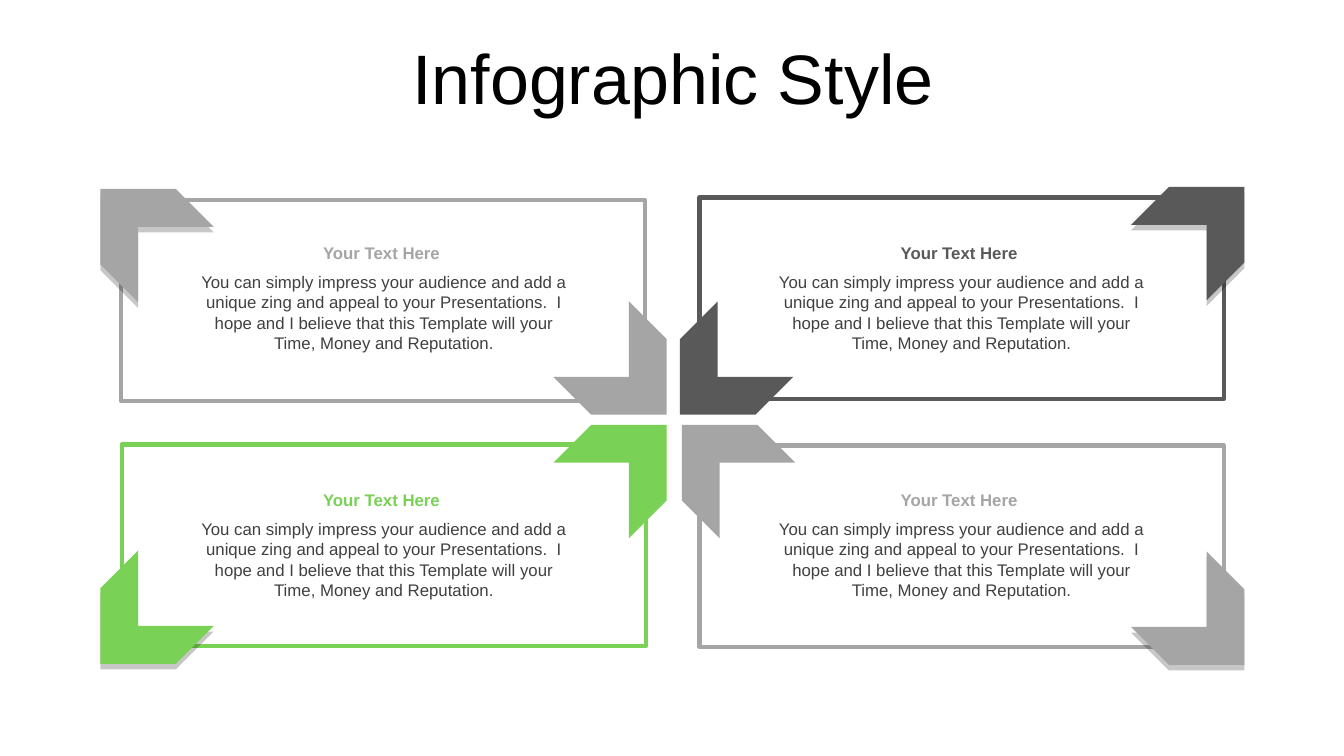
"""Build a slide with four text panels, each held by a pair of corner chevrons."""
from lxml import etree
from pptx import Presentation
from pptx import util as u
from pptx.dml.color import RGBColor
from pptx.enum import shapes, text
from pptx.oxml.ns import qn

Pt = u.Pt
COLORS = {"green": "79D155", "gray": "A5A5A5", "dark": "595959",
          "body": "404040", "black": "000000", "white": "FFFFFF"}
HEADING = "Your Text Here"
BODY = ("You can simply impress your audience and add a unique zing and appeal to "
        "your Presentations.  I hope and I believe that this Template will your "
        "Time, Money and Reputation.")
PANEL_W, PANEL_H = 374.4, 144
CHEVRON = 76.3


def add_shape(kind, x, y, w, h, fill):
    sp = s.shapes.add_shape(kind, Pt(x), Pt(y), Pt(w), Pt(h))
    sp.shadow.inherit = False
    sp.fill.solid()
    sp.fill.fore_color.rgb = RGBColor.from_string(COLORS[fill])
    sp.line.fill.background()
    return sp


def add_text(parent, x, y, w, h, words, size, color, bold=False):
    sp = parent.add_textbox(Pt(x), Pt(y), Pt(w), Pt(h))
    tf = sp.text_frame
    tf.word_wrap = True
    tf.text = words
    p = tf.paragraphs[0]
    p.alignment = text.PP_ALIGN.CENTER
    r = p.runs[0]
    r.font.name = "Arial"
    r.font.size = Pt(size)
    r.font.bold = bold
    r.font.color.rgb = RGBColor.from_string(COLORS[color])
    return tf


prs = Presentation()
prs.slide_width, prs.slide_height = Pt(960), Pt(540)
s = prs.slides.add_slide(prs.slide_layouts[6])

tf = add_text(s.shapes, 25.2, 26.6, 911.5, 56.9, "Infographic Style", 50, "black")
tf.vertical_anchor = text.MSO_ANCHOR.MIDDLE
tf.margin_top = Pt(17.2)
tf.paragraphs[0].line_spacing = 0.7

# color, panel corner, inner chevron, its rotation, outer chevron, text corner
panels = [
    ("green", (87.1, 317.5), (411.1, 292.3), 315, (60.5, 409), (133.9, 346.3)),
    ("gray", (86.4, 142.6), (411.1, 231.1), 45, (60.5, 123.8), (133.9, 169.9)),
    ("dark", (499.7, 141.1), (474.5, 231.1), 135, (823.7, 122.4), (546.5, 169.9)),
    ("gray", (499.7, 318.2), (475.9, 292.3), 225, (823.7, 409.7), (546.5, 346.3)),
]

for color, corner, inner, angle, outer, (x, y) in panels:
    panel = add_shape(shapes.MSO_SHAPE.RECTANGLE, *corner, PANEL_W, PANEL_H, "white")
    panel.line.color.rgb = RGBColor.from_string(COLORS[color])
    panel.line.width = Pt(3)

    for place, turn in ((inner, angle), (outer, (angle + 180) % 360)):
        chevron = add_shape(shapes.MSO_SHAPE.CHEVRON, *place, CHEVRON, CHEVRON, color)
        chevron.rotation = turn

    effects = chevron._element.spPr.find(qn("a:effectLst"))
    shadow = etree.SubElement(effects, qn("a:outerShdw"), blurRad="0", dist=str(Pt(4)),
                              dir="5400000", algn="t", rotWithShape="0")
    tint = etree.SubElement(shadow, qn("a:srgbClr"), val=COLORS["black"])
    etree.SubElement(tint, qn("a:alpha"), val="22000")

    group = s.shapes.add_group_shape()
    add_text(group.shapes, x + 0.7, y + 20.9, 279.4, 64.8, BODY, 12, "body")
    add_text(group.shapes, x, y, 277.2, 21.6, HEADING, 12, color, True)

prs.save("out.pptx")
